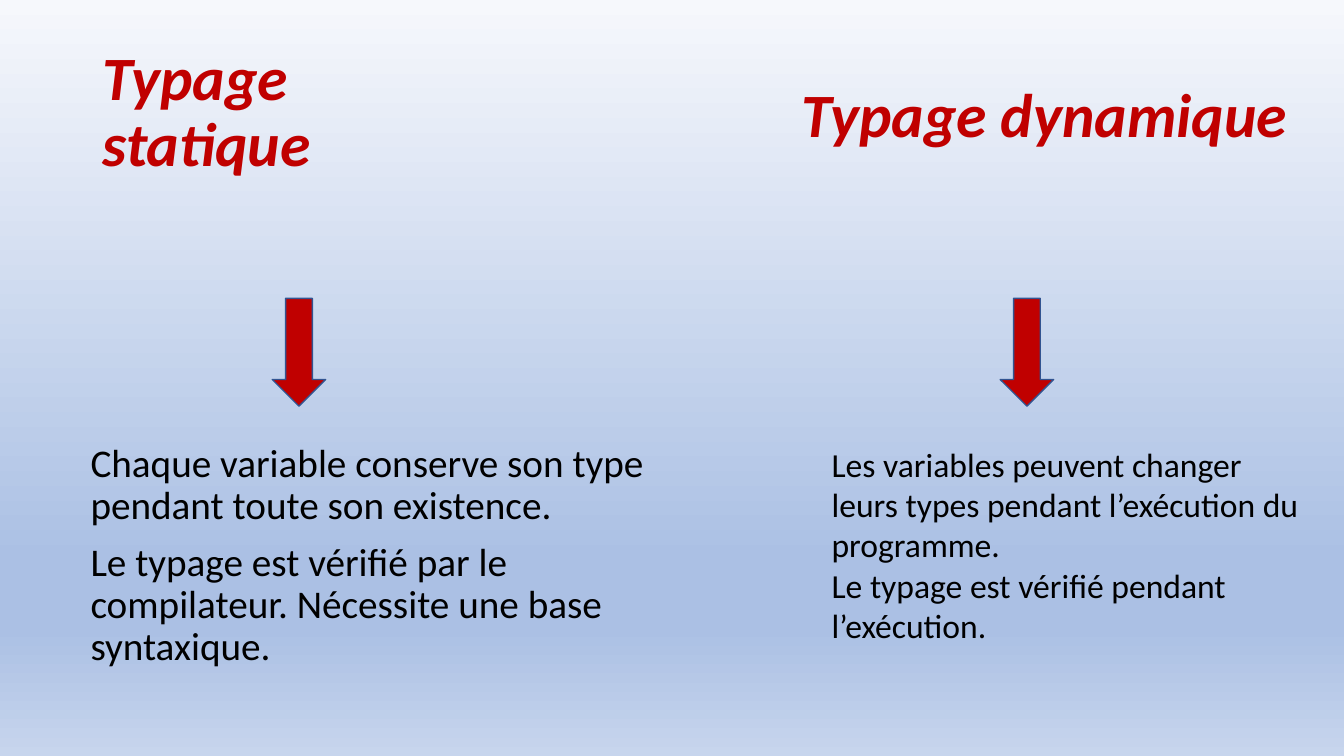
from lxml.etree import SubElement
from pptx import Presentation
from pptx.dml.color import RGBColor
from pptx.enum.shapes import MSO_SHAPE
from pptx.enum.text import MSO_ANCHOR
from pptx.oxml.ns import qn
from pptx.util import Inches, Pt

COLORS = {"red": "C00000", "edge": "325491", "ink": "000000",
          "pale": "F6F8FC", "blue": "ABC0E4", "light": "C7D5ED"}


class Deck:
    font = "Calibri"

    def __init__(self):
        self.file = Presentation()
        self.file.slide_width = Inches(13.33)
        self.file.slide_height = Inches(7.5)
        self.slide = self.file.slides.add_slide(self.file.slide_layouts[6])

    def color(self, name):
        return RGBColor.from_string(COLORS[name])

    def backdrop(self, stops):
        fill = self.slide.background.fill
        fill.gradient()
        fill.gradient_angle = 270
        group = next(self.slide.element.iter(qn("a:gsLst")))
        for stop in list(group):
            group.remove(stop)
        for place, name in stops:
            stop = SubElement(group, qn("a:gs"), pos=str(place * 1000))
            SubElement(stop, qn("a:srgbClr"), val=COLORS[name])

    def text(self, box, lines, size, color="ink", bold=False,
             anchor=MSO_ANCHOR.TOP, pitch=None, gap=0):
        frame = self.slide.shapes.add_textbox(*map(Inches, box)).text_frame
        frame.word_wrap = True
        frame.vertical_anchor = anchor
        frame.text = "\n".join(lines)
        for para in frame.paragraphs:
            para.line_spacing = pitch
            para.space_before = Pt(gap)
            font = para.font
            font.name, font.size = self.font, Pt(size)
            font.bold = font.italic = bold
            font.color.rgb = self.color(color)

    def title(self, box, words, **style):
        self.text(box, [words], 44, "red", True, **style)

    def arrow(self, left):
        box = map(Inches, (left, 3.23, 1.07, 0.53))
        shape = self.slide.shapes.add_shape(MSO_SHAPE.RIGHT_ARROW, *box)
        shape.rotation = 90
        shape.shadow.inherit = False
        shape.fill.solid()
        shape.fill.fore_color.rgb = self.color("red")
        shape.line.color.rgb = self.color("edge")
        shape.line.width = Pt(1)


deck = Deck()
deck.backdrop([(0, "pale"), (74, "blue"), (83, "blue"), (100, "light")])

deck.title((0.92, 0.4, 4.09, 1.45), "Typage statique",
           anchor=MSO_ANCHOR.MIDDLE, pitch=0.9)
deck.title((7.85, 0.7, 5.08, 0.84), "Typage dynamique")

for left in (2.43, 9.65):
    deck.arrow(left)

deck.text((0.8, 4.35, 5.86, 2.48), [
    "Chaque variable conserve son type pendant toute son existence.",
    "Le typage est vérifié par le compilateur. Nécessite une base syntaxique.",
], 28, pitch=0.9, gap=10)
deck.text((8.15, 4.35, 4.86, 2.12), [
    "Les variables peuvent changer leurs types pendant l’exécution du programme.",
    "Le typage est vérifié pendant l’exécution.",
], 24)

deck.file.save("out.pptx")
